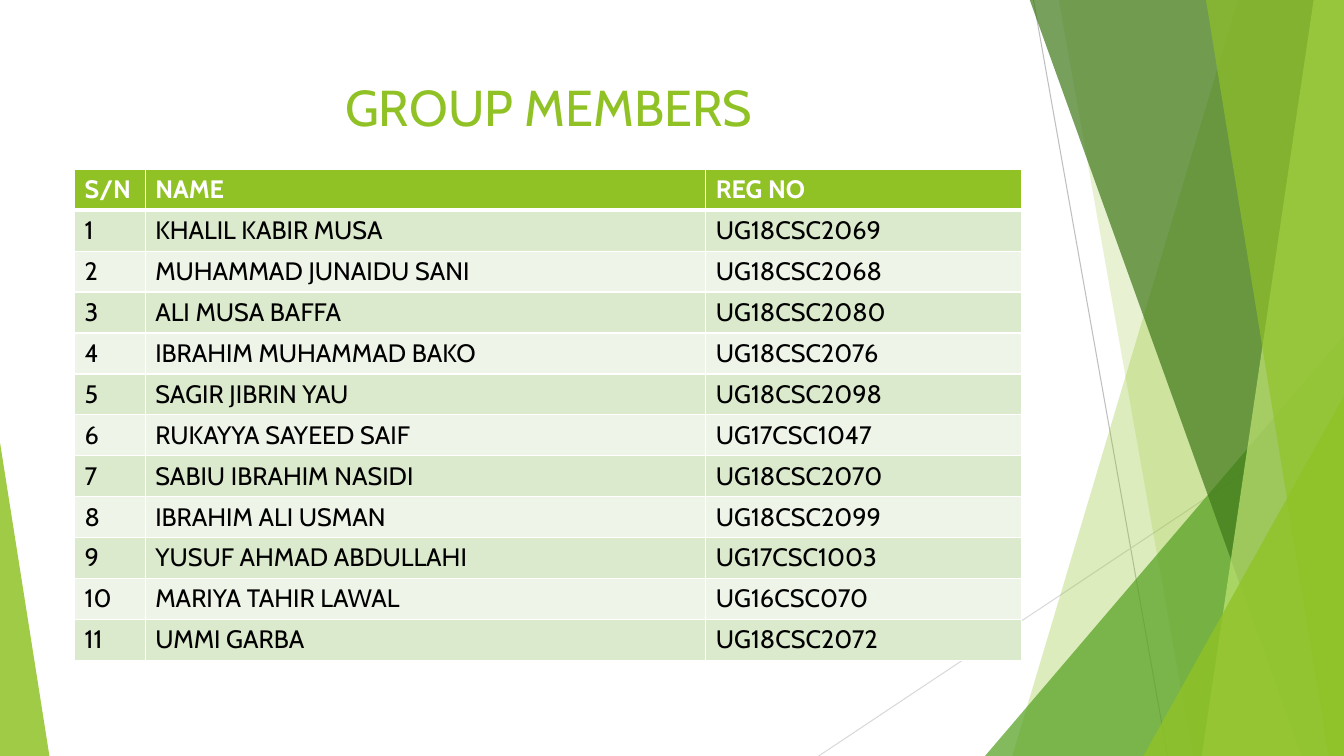
from lxml.etree import SubElement as Sub
from pptx import Presentation
from pptx.dml.color import RGBColor
from pptx.enum.shapes import MSO_CONNECTOR as Conn, MSO_SHAPE as Shape
from pptx.enum.text import MSO_ANCHOR as Anchor, PP_ALIGN as Align
from pptx.oxml import parse_xml
from pptx.oxml.ns import nsdecls, qn
from pptx.util import Inches, Pt

FONT = "Cabin"
GREEN, WHITE, BLACK = "90C226", "FFFFFF", "000000"
BANDS = ("DBE9CD", "EEF4E8")
WIDE, HIGH = 13.33, 7.5
COLS = (0.7, 5.56, 3.13)
ROW = 0.406
HEAD = ("S/N", "NAME", "REG NO")
MEMBERS = [
    ("KHALIL KABIR MUSA", "UG18CSC2069"),
    ("MUHAMMAD JUNAIDU SANI", "UG18CSC2068"),
    ("ALI MUSA BAFFA", "UG18CSC2080"),
    ("IBRAHIM MUHAMMAD BAKO", "UG18CSC2076"),
    ("SAGIR JIBRIN YAU", "UG18CSC2098"),
    ("RUKAYYA SAYEED SAIF", "UG17CSC1047"),
    ("SABIU IBRAHIM NASIDI", "UG18CSC2070"),
    ("IBRAHIM ALI USMAN", "UG18CSC2099"),
    ("YUSUF AHMAD ABDULLAHI", "UG17CSC1003"),
    ("MARIYA TAHIR LAWAL", "UG16CSC070"),
    ("UMMI GARBA", "UG18CSC2072"),
]


def rgb(code):
    return RGBColor.from_string(code)


def tint(fill, code):
    fill.solid()
    fill.fore_color.rgb = rgb(code)


def paint(shape, code, alpha):
    """Give a shape a see-through fill with no outline or shadow."""
    tint(shape.fill, code)
    color = shape.fill._xPr.find(qn("a:solidFill"))[0]
    Sub(color, qn("a:alpha"), val=str(alpha * 1000))
    shape.line.fill.background()
    shape.shadow.inherit = False


def add_line(slide, start, end, code):
    ends = [Inches(v) for v in start + end]
    line = slide.shapes.add_connector(Conn.STRAIGHT, *ends)
    line.line.color.rgb = rgb(code)
    line.line.width = Pt(0.75)
    Sub(line._element.spPr, qn("a:effectLst"))


def add_shard(slide, top, foot, code, alpha):
    """Fill from a slanted left edge to the right side of the slide."""
    pen = slide.shapes.build_freeform(Inches(top), Inches(-0.01))
    edge = [(WIDE, -0.01), (WIDE, HIGH), (foot, HIGH)]
    pen.add_line_segments([(Inches(x), Inches(y)) for x, y in edge])
    paint(pen.convert_to_shape(), code, alpha)


def add_wedge(slide, left, top, width, apex, code, alpha):
    box = [Inches(v) for v in (left, top, width, HIGH - top)]
    wedge = slide.shapes.add_shape(Shape.ISOSCELES_TRIANGLE, *box)
    wedge.adjustments[0] = apex
    paint(wedge, code, alpha)


def add_run(para, text, size, code, bold=False):
    run = para.add_run()
    run.text = text
    font = run.font
    font.name, font.size, font.bold = FONT, Pt(size), bold
    font.color.rgb = rgb(code)


def add_title(slide, text):
    title = slide.shapes.title
    title.left, title.top = Inches(0.74), Inches(0.7)
    title.width, title.height = Inches(9.4), Inches(0.72)
    title.text_frame.vertical_anchor = Anchor.MIDDLE
    para = title.text_frame.paragraphs[0]
    para.alignment = Align.CENTER
    add_run(para, text, 36, GREEN)
    # Bring the title in front of the backdrop
    title.element.getparent().append(title.element)


def set_edges(cell, heavy):
    """Draw white borders; heavy names the sides that are 3 points wide."""
    props = cell._tc.get_or_add_tcPr()
    for i, side in enumerate("LRTB"):
        width = Pt(3 if side in heavy else 1)
        props.insert(i, parse_xml(
            f'<a:ln{side} {nsdecls("a")} w="{width}"><a:solidFill>'
            f'<a:srgbClr val="{WHITE}"/></a:solidFill></a:ln{side}>'))


def add_grid(slide, rows):
    box = [Inches(v) for v in (0.74, 1.68, sum(COLS), ROW * len(rows))]
    grid = slide.shapes.add_table(len(rows), len(COLS), *box).table
    for col, width in zip(grid.columns, COLS):
        col.width = Inches(width)
    for r, row in enumerate(rows):
        grid.rows[r].height = Inches(ROW)
        head = r == 0
        for c, text in enumerate(row):
            cell = grid.cell(r, c)
            tint(cell.fill, GREEN if head else BANDS[(r - 1) % 2])
            set_edges(cell, "B" if head else "T" if r == 1 else "")
            para = cell.text_frame.paragraphs[0]
            add_run(para, text, 18, WHITE if head else BLACK, head)


def add_backdrop(slide):
    add_line(slide, (10.25, 0), (11.58, HIGH), "BFBFBF")
    add_line(slide, (WIDE, 4.03), (8.12, HIGH), "D9D9D9")
    add_shard(slide, 12.28, 10.04, GREEN, 30)
    add_shard(slide, 10.5, 11.83, GREEN, 20)
    add_wedge(slide, 9.77, 3.33, 3.56, 1, "54A021", 72)
    add_shard(slide, 10.21, 12.91, "3F7819", 70)
    add_shard(slide, 13.03, 11.92, "C0E474", 70)
    add_shard(slide, 11.96, 13.18, GREEN, 65)
    add_wedge(slide, 11.34, 3.93, 1.99, 1, GREEN, 80)
    add_wedge(slide, 0, 4.39, 0.49, 0, GREEN, 85)


def main():
    deck = Presentation()
    deck.slide_width, deck.slide_height = Inches(WIDE), Inches(HIGH)
    slide = deck.slides.add_slide(deck.slide_layouts[5])
    tint(slide.background.fill, WHITE)

    # Green shards behind the content
    add_backdrop(slide)

    # Title and numbered member list
    add_title(slide, "GROUP MEMBERS")
    rows = [(str(n), *who) for n, who in enumerate(MEMBERS, 1)]
    add_grid(slide, [HEAD] + rows)

    deck.save("out.pptx")


if __name__ == "__main__":
    main()
